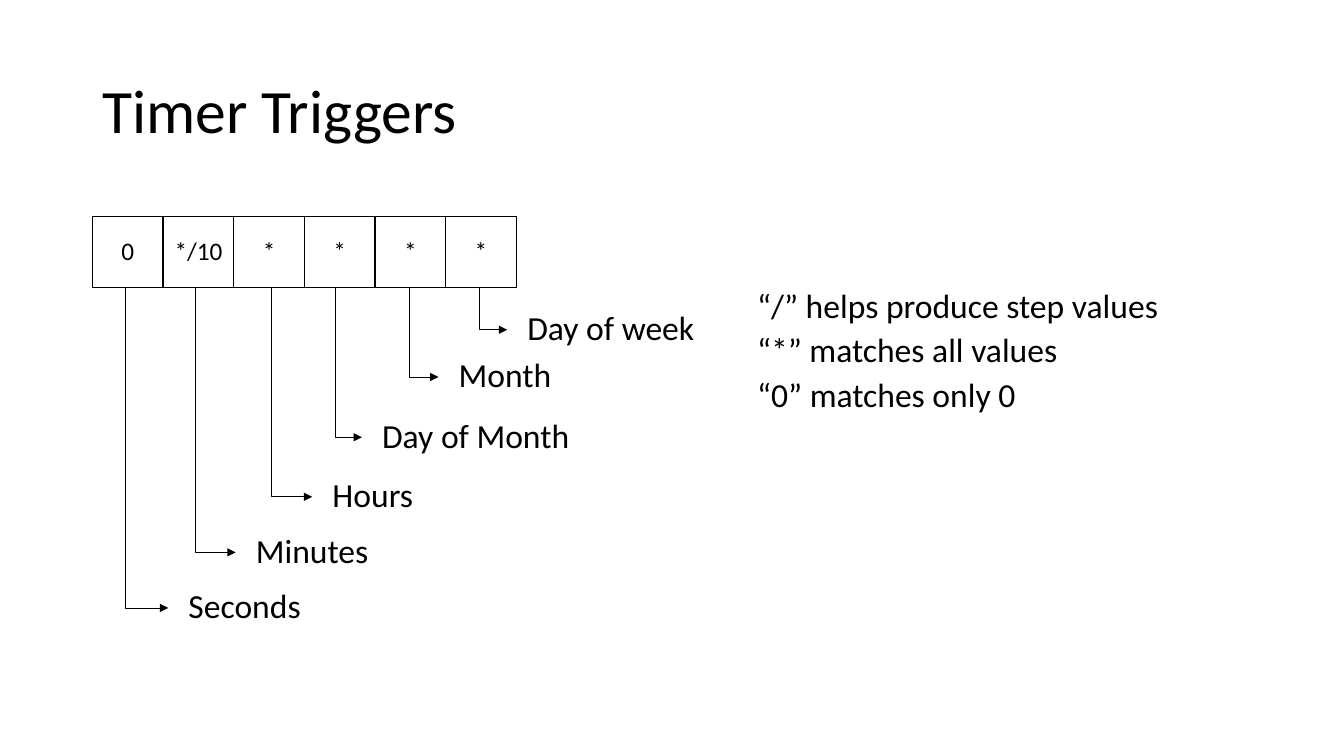
from lxml import etree
from pptx import Presentation
from pptx.dml.color import RGBColor
from pptx.enum.shapes import MSO_CONNECTOR
from pptx.enum.text import MSO_ANCHOR, MSO_AUTO_SIZE, PP_ALIGN
from pptx.oxml import parse_xml
from pptx.oxml.ns import nsdecls, qn
from pptx.util import Cm, Pt

ELBOW = MSO_CONNECTOR.ELBOW
MIDDLE = MSO_ANCHOR.MIDDLE
NO_AUTOFIT = MSO_AUTO_SIZE.NONE
LEFT, CENTER = PP_ALIGN.LEFT, PP_ALIGN.CENTER

FONT = "Calibri"
COLORS = {"ink": "000000"}
INK = RGBColor.from_string(COLORS["ink"])

CELL_SIZE = 1.78
TABLE_LEFT, TABLE_TOP = 2.33, 5.46
TABLE_BOTTOM = TABLE_TOP + CELL_SIZE
LABEL_HEIGHT = 1.74

# cron value, label, x of the arrow's stem, x and y of its tip, label width
FIELDS = [
    ("0", "Seconds", 3.15, 4.24, 15.32, 8.74),
    ("*/10", "Minutes", 4.92, 5.94, 13.92, 8.74),
    ("*", "Hours", 6.83, 7.87, 12.52, 8.74),
    ("*", "Day of Month", 8.44, 9.12, 11.02, 8.74),
    ("*", "Month", 10.31, 11.05, 9.5, 8.74),
    ("*", "Day of week", 12.07, 12.78, 8.31, 7.24),
]
NOTES = [
    "“/” helps produce step values",
    "“*” matches all values",
    "“0” matches only 0",
]


def format_paragraph(paragraph, text, size, alignment=LEFT):
    paragraph.text = text
    paragraph.alignment = alignment
    paragraph.font.name = FONT
    paragraph.font.size = Pt(size)
    paragraph.font.color.rgb = INK


def add_text(left, top, width, height, lines):
    frame = slide.shapes.add_textbox(Cm(left), Cm(top), Cm(width), Cm(height)).text_frame
    frame.word_wrap = True
    frame.margin_left = frame.margin_right = Cm(0.51)
    frame.margin_top = frame.margin_bottom = Cm(0.41)
    for index, line in enumerate(lines):
        paragraph = frame.add_paragraph() if index else frame.paragraphs[0]
        format_paragraph(paragraph, line, 24)
        paragraph.line_spacing = 0.9
        paragraph.space_after = Pt(6)


presentation = Presentation()
presentation.slide_width = Cm(33.87)
presentation.slide_height = Cm(19.05)
slide = presentation.slides.add_slide(presentation.slide_layouts[5])

# Title
title = slide.shapes.title
title.left, title.top, title.width, title.height = Cm(2.33), Cm(1.01), Cm(29.21), Cm(3.68)
title.text_frame.auto_size = NO_AUTOFIT
title.text_frame.vertical_anchor = MIDDLE
format_paragraph(title.text_frame.paragraphs[0], "Timer Triggers", 44)
title.text_frame.paragraphs[0].line_spacing = 0.9

# Cron expression, one cell per field
table = slide.shapes.add_table(
    1, len(FIELDS), Cm(TABLE_LEFT), Cm(TABLE_TOP), Cm(CELL_SIZE * len(FIELDS)), Cm(CELL_SIZE)
).table
table.first_row = table.horz_banding = False
for column, field in enumerate(FIELDS):
    table.columns[column].width = Cm(CELL_SIZE)
    cell = table.cell(0, column)
    cell.vertical_anchor = MIDDLE
    format_paragraph(cell.text_frame.paragraphs[0], field[0], 18, CENTER)
    for side in ("lnL", "lnR", "lnT", "lnB"):
        cell._tc.get_or_add_tcPr().append(parse_xml(
            f'<a:{side} {nsdecls("a")} w="12700"><a:solidFill>'
            f'<a:srgbClr val="{COLORS["ink"]}"/></a:solidFill></a:{side}>'
        ))
    cell.fill.background()

# Labels, each with an arrow that drops from its cell and turns right
for value, label, stem_x, tip_x, tip_y, label_width in FIELDS:
    add_text(tip_x, tip_y - LABEL_HEIGHT / 2, label_width, LABEL_HEIGHT, [label])

    # The one-bend shape is laid out flat about its centre, then turned by 270 degrees
    center_x, center_y = (stem_x + tip_x) / 2, (TABLE_BOTTOM + tip_y) / 2
    half_run, half_drop = (tip_x - stem_x) / 2, (tip_y - TABLE_BOTTOM) / 2
    arrow = slide.shapes.add_connector(
        ELBOW,
        Cm(center_x + half_drop), Cm(center_y - half_run),
        Cm(center_x - half_drop), Cm(center_y + half_run),
    )
    arrow.line.color.rgb = INK
    arrow.line.width = Pt(0.5)
    properties = arrow._element.spPr
    properties.find(qn("a:xfrm")).set("rot", "16200000")
    properties.find(qn("a:prstGeom")).set("prst", "bentConnector2")
    etree.SubElement(properties.find(qn("a:ln")), qn("a:tailEnd")).set("type", "triangle")
    etree.SubElement(properties, qn("a:effectLst"))

# Meaning of the symbols
add_text(18.57, 6.88, 12.55, 4.01, NOTES)

presentation.save("out.pptx")
